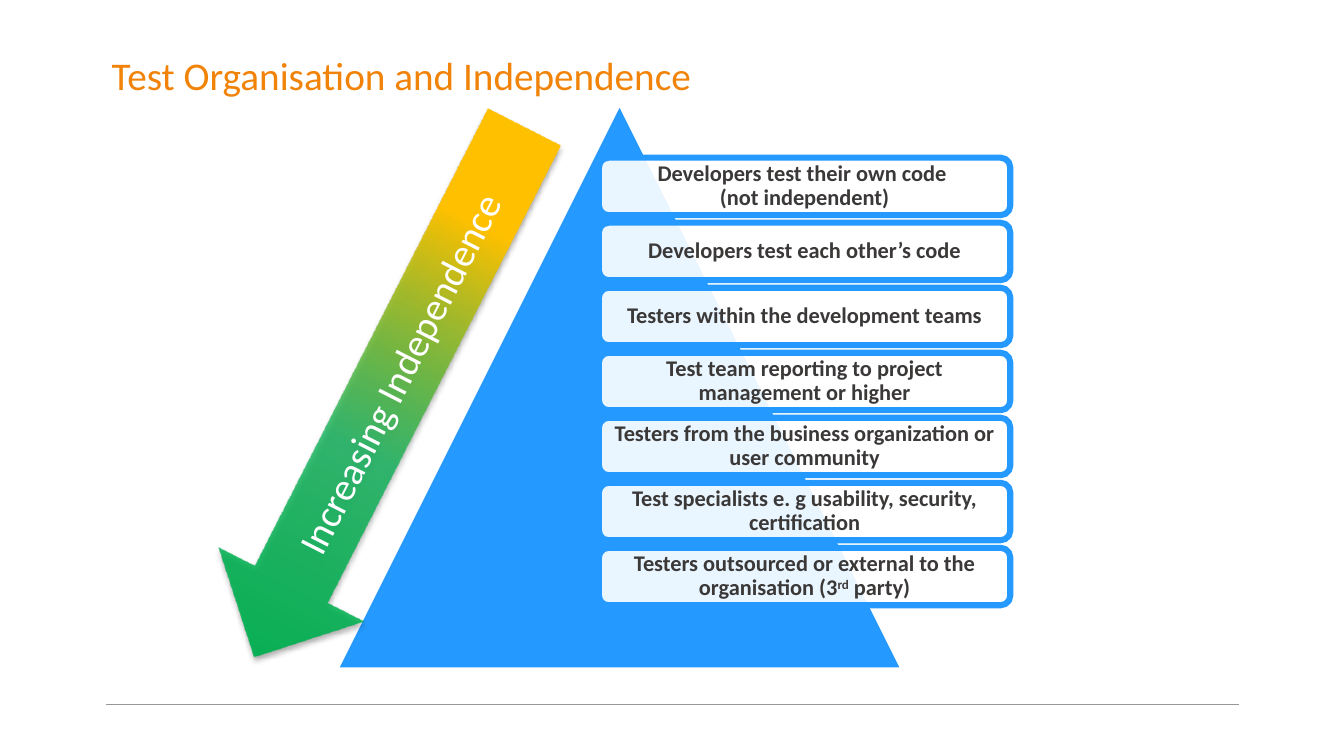
import pptx
import pptx.util
import pptx.dml.color
import pptx.enum.shapes
import pptx.enum.text
import pptx.oxml
import pptx.oxml.ns
from lxml import etree

TITLE = " Test Organisation and Independence"
ARROW_LABEL = "Increasing Independence"
# Every second part of a level is superscript.
LEVELS = [
    ("Developers test their own code \n(not independent)",),
    ("Developers test each other’s code",),
    ("Testers within the development teams",),
    ("Test team reporting to project management or higher",),
    ("Testers from the business organization or user community",),
    ("Test specialists e. g usability, security, certification",),
    ("Testers outsourced or external to the organisation (3", "rd", " party)"),
]

RGB = pptx.dml.color.RGBColor
ORANGE = RGB(0xF1, 0x83, 0x09)
BLUE = RGB(0x24, 0x99, 0xFF)
WHITE = RGB(0xFF, 0xFF, 0xFF)
CHARCOAL = RGB(0x3B, 0x38, 0x38)
GREY = RGB(0x9B, 0x97, 0x97)
BLACK = RGB(0, 0, 0)
GREEN = RGB(0x00, 0xB0, 0x50)
AMBER = RGB(0xFF, 0xC0, 0x00)
ARROW_STOPS = [(0, GREEN, 100), (41, GREEN, 73), (76, AMBER, 100)]

Inches, Pt = pptx.util.Inches, pptx.util.Pt
KIND = pptx.enum.shapes.MSO_SHAPE
CENTER = pptx.enum.text.PP_ALIGN.CENTER
MIDDLE = pptx.enum.text.MSO_ANCHOR.MIDDLE

WIDTH, HEIGHT = 13.33, 7.5
PYRAMID_LEFT, PYRAMID_TOP, PYRAMID_SIZE = 3.32, 1, 5.65
CARD_LEFT = PYRAMID_LEFT + PYRAMID_SIZE / 2 - 0.205
CARD_TOP = PYRAMID_TOP + PYRAMID_SIZE / 10
CARD_WIDTH, CARD_HEIGHT, CARD_PITCH = 4.08, 0.57, 0.645

TITLE_FONT = {"name": "Calibri", "size": Pt(28), "bold": False}
CARD_FONT = {"name": "Calibri", "size": Pt(16), "bold": True}
CARD_FRAME = {"word_wrap": True, "vertical_anchor": MIDDLE} | {
    "margin_" + side: Inches(0.07) for side in ("left", "top", "right", "bottom")}


def apply(target, values):
    for name, value in values.items():
        setattr(target, name, value)


def set_font(span, values, color):
    apply(span.font, values)
    span.font.color.rgb = color


def add_element(parent, tag, **attributes):
    element = etree.SubElement(parent, pptx.oxml.ns.qn(tag))
    for name, value in attributes.items():
        element.set(name, str(value))
    return element


def add_color(parent, color, alpha):
    node = add_element(parent, "a:srgbClr", val=color)
    if alpha < 100:
        add_element(node, "a:alpha", val=alpha * 1000)


def add_preset(shapes, kind, left, top, width, height):
    shape = shapes.add_shape(kind, *map(Inches, (left, top, width, height)))
    shape.shadow.inherit = False
    return shape


def paint(shape, fill, line, alpha=100):
    shape.fill.solid()
    shape.fill.fore_color.rgb = fill
    if alpha < 100:
        solid = shape.fill._xPr.find(pptx.oxml.ns.qn("a:solidFill"))
        solid.clear()
        add_color(solid, fill, alpha)
    shape.line.color.rgb = line
    shape.line.width = Pt(4.33)


def add_title(page):
    title = page.shapes.title
    apply(title, {"left": Inches(0.92), "top": Inches(0.05),
                  "width": Inches(11.5), "height": Inches(1.45)})
    title.text_frame.vertical_anchor = MIDDLE
    para = title.text_frame.paragraphs[0]
    apply(para, {"text": TITLE, "line_spacing": 0.9,
                 "alignment": pptx.enum.text.PP_ALIGN.LEFT})
    set_font(para.runs[0], TITLE_FONT, ORANGE)


def add_footer_rule(page):
    rule = page.shapes.add_connector(
        pptx.enum.shapes.MSO_CONNECTOR.STRAIGHT,
        *map(Inches, (1.05, 6.99, 12.29, 6.99)))
    rule.line.color.rgb = GREY
    rule.line.width = Pt(1)
    add_element(rule._element.spPr, "a:effectLst")


def add_card(shapes, row, parts):
    card = add_preset(shapes, KIND.ROUNDED_RECTANGLE, CARD_LEFT,
                      CARD_TOP + row * CARD_PITCH, CARD_WIDTH, CARD_HEIGHT)
    paint(card, WHITE, BLUE, alpha=90)
    apply(card.text_frame, CARD_FRAME)
    para = card.text_frame.paragraphs[0]
    apply(para, {"text": parts[0], "alignment": CENTER, "line_spacing": 0.9})
    for part in parts[1:]:
        para.add_run().text = part
    for span in para.runs:
        set_font(span, CARD_FONT, CHARCOAL)
    if len(parts) > 1:
        for span in para.runs[1::2]:
            span.font._element.set("baseline", "30000")


def add_pyramid(page):
    shapes = page.shapes.add_group_shape().shapes
    pyramid = add_preset(shapes, KIND.ISOSCELES_TRIANGLE, PYRAMID_LEFT,
                         PYRAMID_TOP, PYRAMID_SIZE, PYRAMID_SIZE)
    paint(pyramid, BLUE, WHITE)
    for row, parts in enumerate(LEVELS):
        add_card(shapes, row, parts)


def add_arrow(page):
    arrow = add_preset(page.shapes, KIND.DOWN_ARROW, 3.05, 0.94, 1.62, 5.89)
    arrow.rotation = 27
    arrow.line.fill.background()
    arrow.fill.gradient()
    arrow.fill.gradient_angle = 90
    properties = arrow._element.spPr
    stops = properties.find(".//" + pptx.oxml.ns.qn("a:gsLst"))
    stops.clear()
    for position, color, alpha in ARROW_STOPS:
        add_color(add_element(stops, "a:gs", pos=position * 1000), color, alpha)
    effects = properties.find(pptx.oxml.ns.qn("a:effectLst"))
    shadow = add_element(effects, "a:outerShdw", blurRad=Pt(4), dist=Pt(3),
                         dir=90 * 60000, rotWithShape=0)
    add_color(shadow, BLACK, 35)
    frame = arrow.text_frame
    frame.vertical_anchor = MIDDLE
    frame._txBody.bodyPr.set("vert", "vert270")
    para = frame.paragraphs[0]
    apply(para, {"text": ARROW_LABEL, "alignment": CENTER})
    set_font(para.runs[0], TITLE_FONT, WHITE)


def main():
    deck = pptx.Presentation()
    deck.slide_width, deck.slide_height = Inches(WIDTH), Inches(HEIGHT)
    page = deck.slides.add_slide(deck.slide_layouts[5])
    add_footer_rule(page)
    add_title(page)
    add_pyramid(page)
    add_arrow(page)
    deck.save("out.pptx")


if __name__ == "__main__":
    main()
